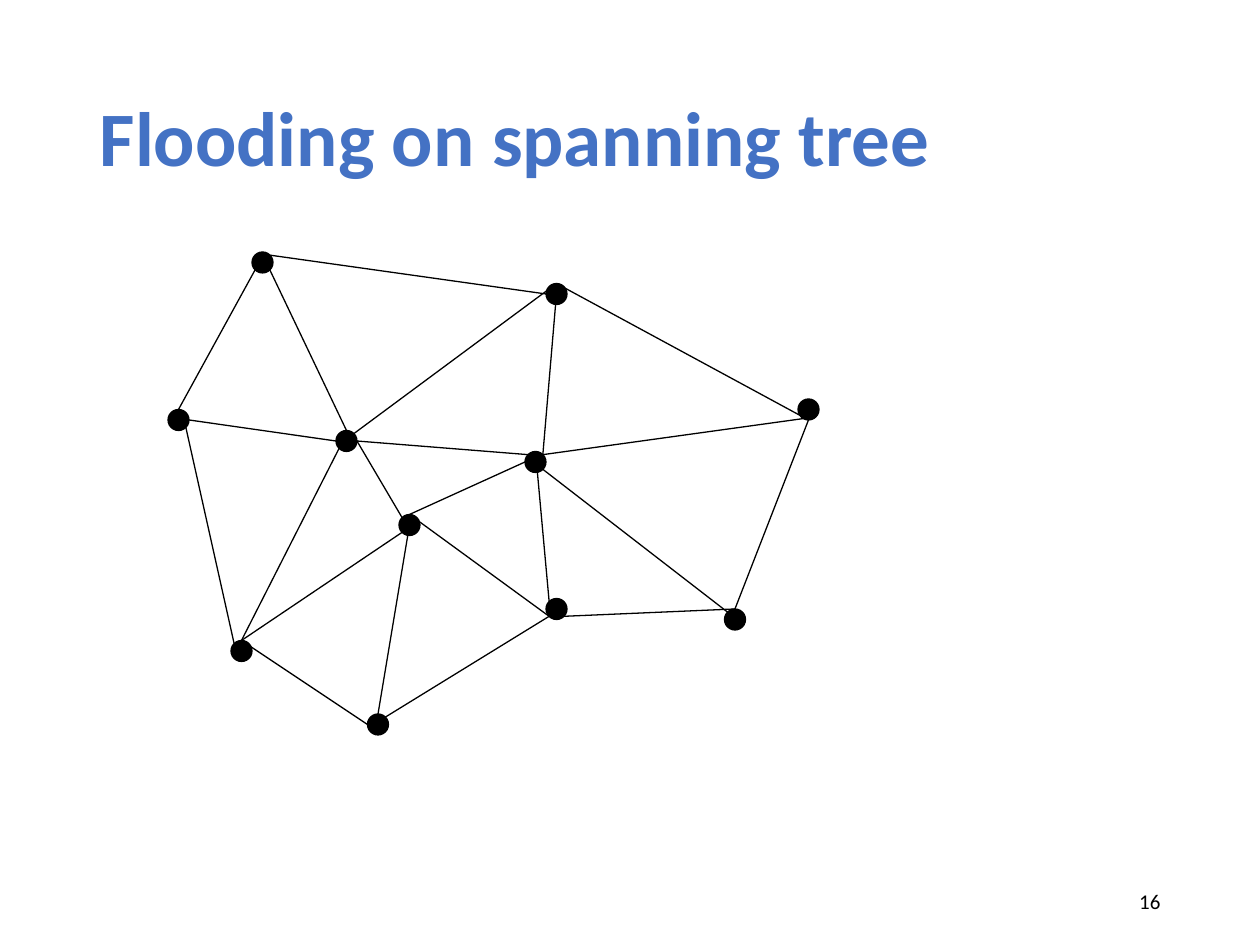
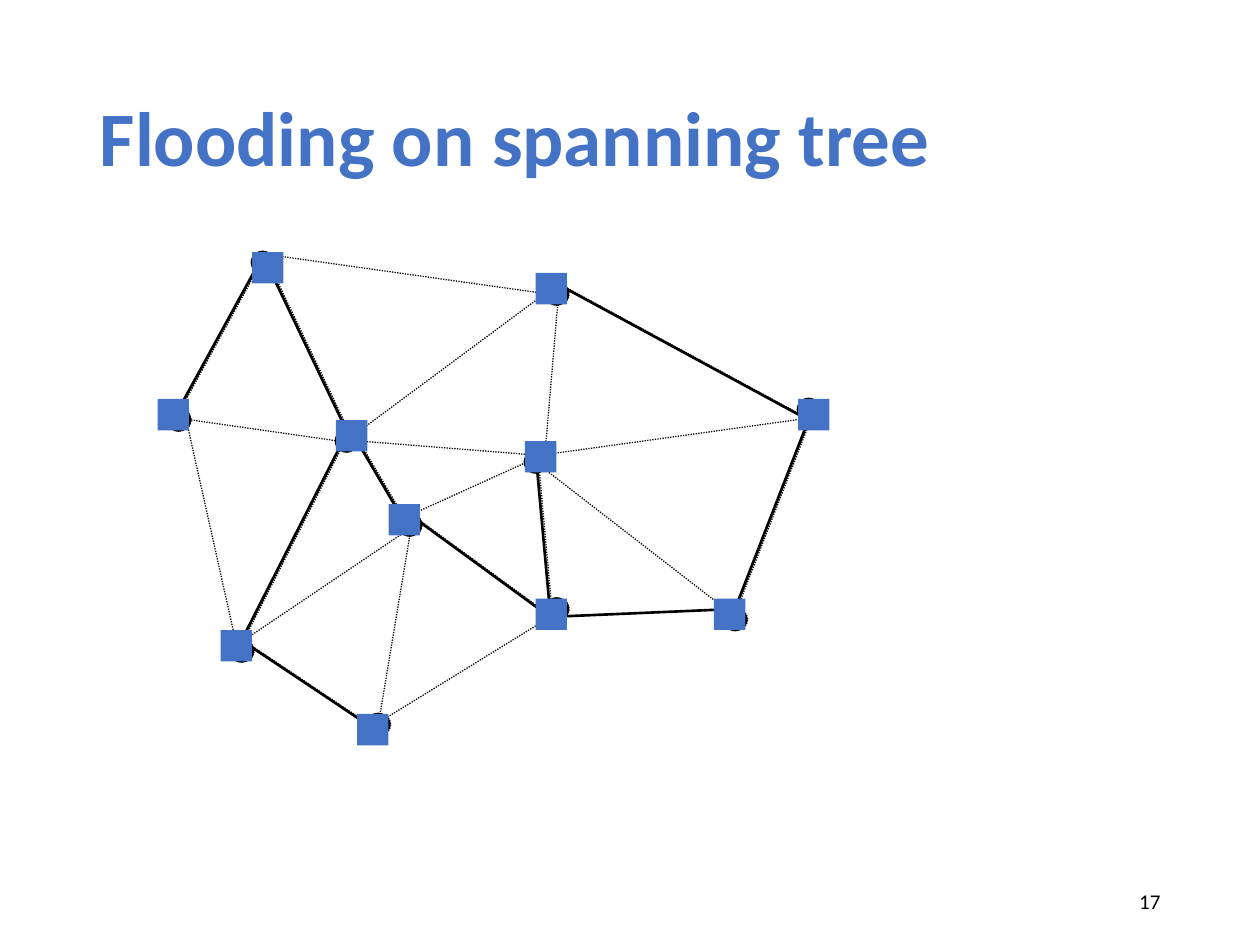
"""Build two slides that compare a network with its spanning tree."""
from dataclasses import dataclass

from lxml import etree
from pptx import Presentation
from pptx.dml.color import RGBColor
from pptx.enum.dml import MSO_LINE
from pptx.enum.shapes import MSO_CONNECTOR, MSO_SHAPE
from pptx.enum.text import MSO_ANCHOR, MSO_AUTO_SIZE, PP_ALIGN
from pptx.oxml.ns import qn
from pptx.util import Pt

STRAIGHT = MSO_CONNECTOR.STRAIGHT
OVAL, SQUARE = MSO_SHAPE.OVAL, MSO_SHAPE.RECTANGLE
DOTTED = MSO_LINE.ROUND_DOT
MIDDLE, FIXED_SIZE = MSO_ANCHOR.MIDDLE, MSO_AUTO_SIZE.NONE
LEFT, RIGHT = PP_ALIGN.LEFT, PP_ALIGN.RIGHT

EMU_PER_PX = 7620
SLIDE_SIZE = (1200, 900)
TITLE_BOX = (83, 48, 1034, 174)
NUMBER_BOX = (847, 834, 270, 48)
TITLE_ONLY = 5
NODE_SIZE = 20
MARKER_SIZE = 30
DOTTED_SHIFT = 2


@dataclass(frozen=True)
class Theme:
    """Colours, font, type sizes and line widths of the slides."""
    ink: RGBColor = RGBColor(0x00, 0x00, 0x00)
    accent: RGBColor = RGBColor(0x44, 0x72, 0xC4)
    font: str = "Calibri"
    title_size: int = 44
    number_size: int = 12
    thin: float = 0.75
    thick: float = 1.5


THEME = Theme()

NODE_CENTRES = {
    "A": (250, 250), "B": (170, 400), "C": (530, 280), "D": (530, 580),
    "E": (360, 690), "F": (330, 420), "G": (770, 390), "H": (390, 500),
    "I": (230, 620), "J": (510, 440), "K": (700, 590),
}

MARKER_CORNERS = [
    (320, 400), (370, 480), (210, 600), (240, 240), (150, 380), (340, 680),
    (510, 570), (680, 570), (500, 420), (760, 380), (510, 260),
]

RIM_OFFSETS = {
    "mid": (0, 0), "n": (0, -10), "s": (0, 10), "w": (-10, 0), "e": (10, 0),
    "nw": (-7, -7), "ne": (7, -7), "sw": (-7, 7), "se": (7, 7),
}

TREE_EDGES = [
    ("A", "se", "F", "n"), ("A", "sw", "B", "n"), ("F", "e", "H", "nw"),
    ("C", "n", "G", "s"), ("G", "s", "K", "n"), ("I", "n", "E", "w"),
    ("H", "n", "D", "sw"), ("K", "n", "D", "se"), ("J", "n", "D", "nw"),
    ("I", "n", "F", "sw"),
]

OTHER_EDGES = [
    ("B", "se", "I", "nw"), ("J", "se", "K", "nw"), ("C", "mid", "J", "ne"),
    ("H", "mid", "E", "n"), ("F", "e", "J", "nw"), ("B", "e", "F", "w"),
    ("I", "n", "H", "sw"), ("E", "ne", "D", "sw"), ("H", "n", "J", "w"),
    ("J", "ne", "G", "se"), ("A", "ne", "C", "w"), ("F", "ne", "C", "n"),
]


def px(*lengths):
    """Turn pixel lengths into a list of EMU values."""
    return [length * EMU_PER_PX for length in lengths]


def write(frame, text, *, size, color, align, bold=False):
    """Put one formatted paragraph into a text frame."""
    frame.word_wrap = True
    frame.auto_size = FIXED_SIZE
    frame.vertical_anchor = MIDDLE
    paragraph = frame.paragraphs[0]
    paragraph.alignment = align
    run = paragraph.add_run()
    run.text = text
    run.font.name = THEME.font
    run.font.size = Pt(size)
    run.font.bold = bold
    run.font.color.rgb = color
    return paragraph


def style_line(line, width, dash):
    """Give a line the ink colour, a width and an optional dash."""
    line.color.rgb = THEME.ink
    line.width = Pt(width)
    if dash is not None:
        line.dash_style = dash


def add_solid(shapes, kind, left, top, size, color):
    """Add a filled square-bounded shape without a shadow."""
    solid = shapes.add_shape(kind, *px(left, top, size, size))
    solid.shadow.inherit = False
    solid.fill.solid()
    solid.fill.fore_color.rgb = color
    return solid


def add_node(shapes, centre, width, dash):
    """Add a round network node around its centre."""
    x, y = centre
    radius = NODE_SIZE // 2
    node = add_solid(shapes, OVAL, x - radius, y - radius, NODE_SIZE, THEME.ink)
    style_line(node.line, width, dash)


def add_edge(shapes, start, end, width, dash):
    """Add a straight network edge without a shadow."""
    edge = shapes.add_connector(STRAIGHT, *px(*start, *end))
    style_line(edge.line, width, dash)
    etree.SubElement(edge._element.spPr, qn("a:effectLst"))


def add_network(shapes, edges, width, dash=None, shift=0):
    """Add all nodes and the given edges, shifted sideways if asked."""
    centres = {name: (x + shift, y) for name, (x, y) in NODE_CENTRES.items()}

    def rim_point(name, side):
        """Return the point on one side of a node."""
        return [c + d for c, d in zip(centres[name], RIM_OFFSETS[side])]

    for centre in centres.values():
        add_node(shapes, centre, width, dash)
    for source, source_side, target, target_side in edges:
        add_edge(shapes, rim_point(source, source_side),
                 rim_point(target, target_side), width, dash)


def add_markers(shapes):
    """Cover each reached node with a coloured square."""
    for left, top in MARKER_CORNERS:
        marker = add_solid(shapes, SQUARE, left, top, MARKER_SIZE, THEME.accent)
        marker.line.fill.background()


def add_titled_slide(deck, number):
    """Add a slide with the shared title and its page number."""
    slide = deck.slides.add_slide(deck.slide_layouts[TITLE_ONLY])
    title = slide.shapes.title
    title.left, title.top, title.width, title.height = px(*TITLE_BOX)
    heading = write(title.text_frame, "Flooding on spanning tree",
                    size=THEME.title_size, color=THEME.accent,
                    align=LEFT, bold=True)
    heading.line_spacing = 0.9
    page_number = slide.shapes.add_textbox(*px(*NUMBER_BOX))
    write(page_number.text_frame, str(number), size=THEME.number_size,
          color=THEME.ink, align=RIGHT)
    return slide


def main():
    """Build and save the deck."""
    deck = Presentation()
    deck.slide_width, deck.slide_height = px(*SLIDE_SIZE)
    all_edges = TREE_EDGES + OTHER_EDGES

    network_slide = add_titled_slide(deck, 16)
    network = network_slide.shapes.add_group_shape()
    add_network(network.shapes, all_edges, THEME.thin)

    tree_slide = add_titled_slide(deck, 17)
    faded_network = tree_slide.shapes.add_group_shape()
    add_network(faded_network.shapes, all_edges, THEME.thin, DOTTED, DOTTED_SHIFT)
    add_network(tree_slide.shapes, TREE_EDGES, THEME.thick)
    add_markers(tree_slide.shapes)

    deck.save("out.pptx")


if __name__ == "__main__":
    main()
